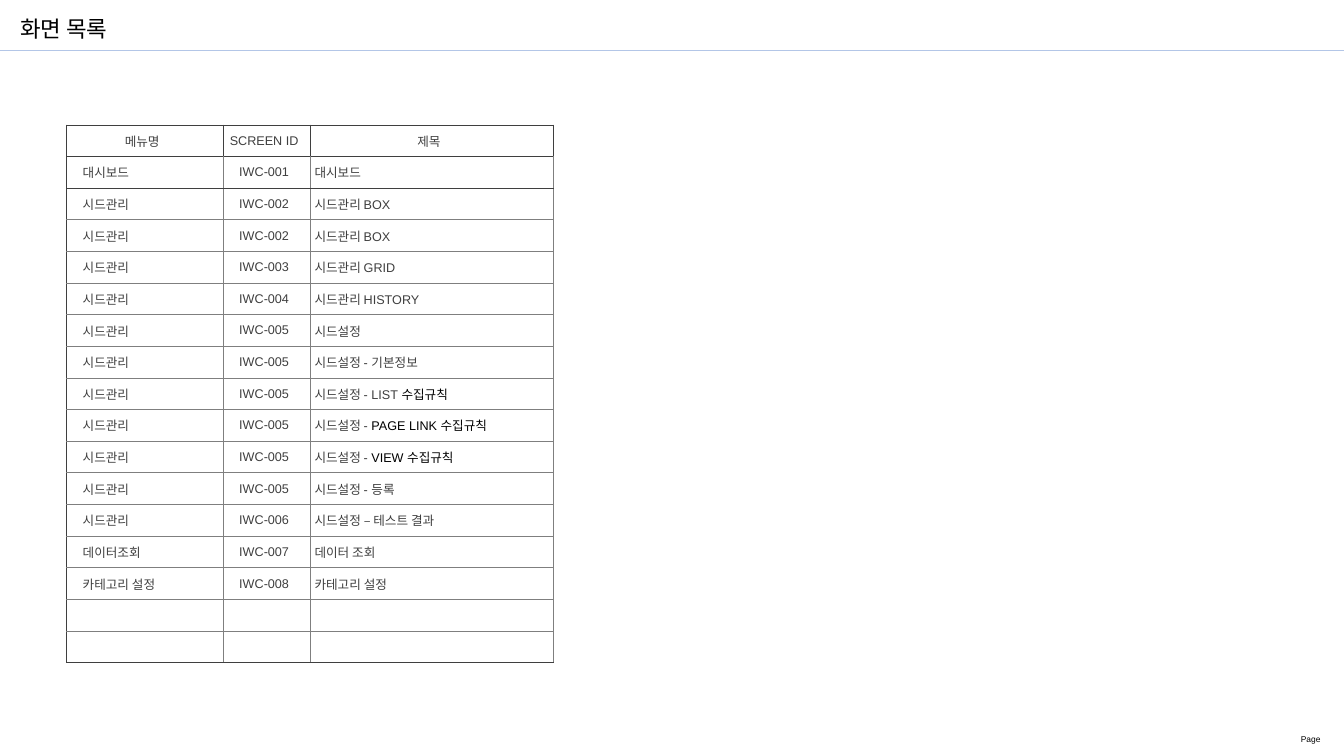
from lxml import etree
from pptx import Presentation, util as u
from pptx.dml.color import RGBColor
from pptx.enum import shapes, text
from pptx.oxml.ns import qn

BLACK = RGBColor(0x00, 0x00, 0x00)
DARK = RGBColor(0x3F, 0x3F, 0x3F)
GRAY = RGBColor(0x7F, 0x7F, 0x7F)
RULE_BLUE = RGBColor(0xB3, 0xC6, 0xE7)
FONT = "Arial"
CELL_PT = 9

# The slide is a fine grid of 1333 columns by 750 rows.
SLIDE_W, SLIDE_H = u.Inches(13.33), u.Inches(7.5)
GRID_COLS, GRID_ROWS = 1333, 750

HEADER = ("메뉴명", "SCREEN ID", "제목")
COL_WIDTHS = (156, 86, 241)
TABLE_HEIGHT = 534
EMPTY_ROWS = 2
# Menu, screen number, title, and the part of the title set in black.
SCREENS = [
    ("대시보드", 1, "대시보드", ""),
    ("시드관리", 2, "시드관리 BOX", ""),
    ("시드관리", 2, "시드관리 BOX", ""),
    ("시드관리", 3, "시드관리 GRID", ""),
    ("시드관리", 4, "시드관리 HISTORY", ""),
    ("시드관리", 5, "시드설정", ""),
    ("시드관리", 5, "시드설정 - 기본정보", ""),
    ("시드관리", 5, "시드설정 - LIST", " 수집규칙"),
    ("시드관리", 5, "시드설정 - ", "PAGE LINK 수집규칙"),
    ("시드관리", 5, "시드설정 - ", "VIEW 수집규칙"),
    ("시드관리", 5, "시드설정 - 등록", ""),
    ("시드관리", 6, "시드설정 – 테스트 결과", ""),
    ("데이터조회", 7, "데이터 조회", ""),
    ("카테고리 설정", 8, "카테고리 설정", ""),
]


def gx(cols):
    """Width of a number of grid columns."""
    return round(SLIDE_W * cols / GRID_COLS)


def gy(rows):
    """Height of a number of grid rows."""
    return round(SLIDE_H * rows / GRID_ROWS)


def set_all(obj, **values):
    for name, value in values.items():
        setattr(obj, name, value)


def add_run(p, words, size, color):
    r = p.add_run()
    r.text = words
    set_all(r.font, name=FONT, size=u.Pt(size))
    r.font.color.rgb = color


def add_label(s, box, words, size, inset, **para):
    left, top, width, height = box
    sp = s.shapes.add_textbox(gx(left), gy(top), gx(width), gy(height))
    tf = sp.text_frame
    side, edge = gx(inset[0]), gy(inset[1])
    set_all(tf, word_wrap=True, vertical_anchor=text.MSO_ANCHOR.MIDDLE,
            margin_left=side, margin_right=side,
            margin_top=edge, margin_bottom=edge)
    p = tf.paragraphs[0]
    set_all(p, **para)
    add_run(p, words, size, BLACK)


def add_rule(s, row):
    """Draw a line across the whole slide."""
    line = s.shapes.add_connector(shapes.MSO_CONNECTOR.STRAIGHT,
                                  0, gy(row), SLIDE_W, gy(row))
    line.line.color.rgb = RULE_BLUE
    line.line.width = u.Pt(0.75)
    etree.SubElement(line._element.spPr, qn("a:effectLst"))


def set_borders(cell, colors):
    """Colour the left, right, top and bottom borders, in that order."""
    tc_pr = cell._tc.get_or_add_tcPr()
    for side, color in zip("LRTB", colors):
        ln = etree.SubElement(tc_pr, qn(f"a:ln{side}"), w=str(u.Pt(0.75)))
        fill = etree.SubElement(ln, qn("a:solidFill"))
        etree.SubElement(fill, qn("a:srgbClr"), val=str(color))


def fill_cell(cell, runs, centred, indent):
    set_all(cell, vertical_anchor=text.MSO_ANCHOR.MIDDLE,
            margin_left=gx(indent), margin_right=gx(10),
            margin_top=gy(4), margin_bottom=gy(4))
    p = cell.text_frame.paragraphs[0]
    p.alignment = text.PP_ALIGN.CENTER if centred else text.PP_ALIGN.LEFT
    for words, color in runs:
        if words:
            add_run(p, words, CELL_PT, color)
    if not p.runs:
        etree.SubElement(p._p, qn("a:endParaRPr"), sz=str(CELL_PT * 100))


def table_rows():
    """List each row as three cells, each a list of (words, colour)."""
    rows = [[[(words, DARK)] for words in HEADER]]
    for menu, number, title, black_part in SCREENS:
        rows.append([[(menu, DARK)], [(f"IWC-{number:03}", DARK)],
                     [(title, DARK), (black_part, BLACK)]])
    return rows + [[[], [], []]] * EMPTY_ROWS


def add_screen_table(s, left, top):
    rows = table_rows()
    last = len(rows) - 1
    table = s.shapes.add_table(len(rows), len(HEADER), gx(left), gy(top),
                               gx(sum(COL_WIDTHS)), gy(TABLE_HEIGHT)).table
    set_all(table, first_row=False, horz_banding=False)
    for column, width in zip(table.columns, COL_WIDTHS):
        column.width = gx(width)
    for i, row in enumerate(rows):
        table.rows[i].height = gy(TABLE_HEIGHT / len(rows))
        header = i == 0
        for j, runs in enumerate(row):
            cell = table.cell(i, j)
            fill_cell(cell, runs, centred=header or j == 1,
                      indent=16 if j == 0 and not header else 4)
            dark_sides = (header or j == 0, header, i <= 2, i in (0, 1, last))
            set_borders(cell, [DARK if d else GRAY for d in dark_sides])
            cell.fill.background()


def main():
    prs = Presentation()
    set_all(prs, slide_width=SLIDE_W, slide_height=SLIDE_H)
    s = prs.slides.add_slide(prs.slide_layouts[6])
    add_rule(s, 50)
    add_label(s, (1221, 724, 103, 18), "Page ", 6, (12, 6),
              alignment=text.PP_ALIGN.RIGHT)
    add_label(s, (10, 11, 922, 38), "화면 목록", 16, (10, 5), line_spacing=0.9)
    add_screen_table(s, 66, 124)
    prs.save("out.pptx")


if __name__ == "__main__":
    main()
